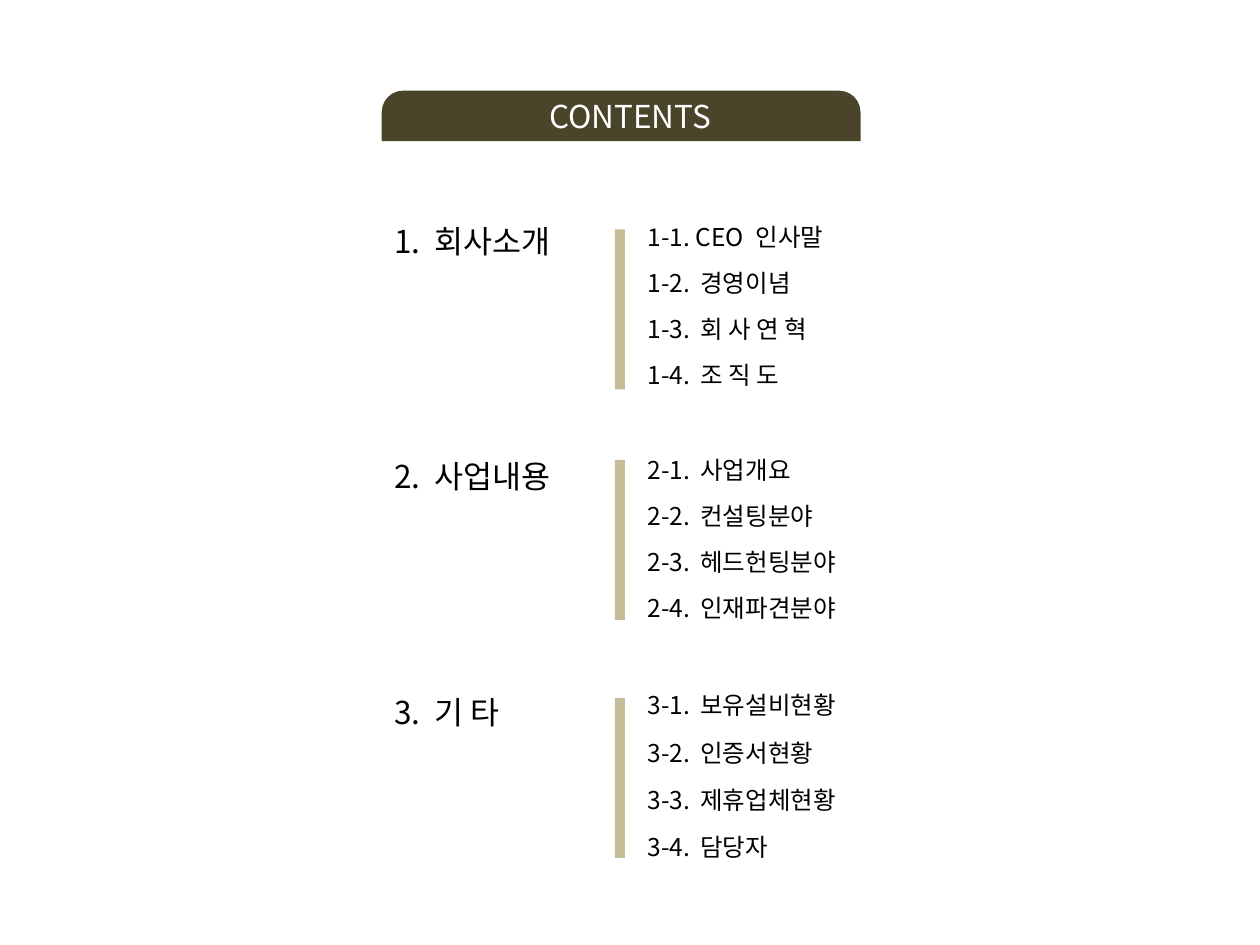
from lxml import etree
from pptx import Presentation
from pptx.dml.color import RGBColor
from pptx.enum.shapes import MSO_SHAPE
from pptx.enum.text import MSO_ANCHOR, MSO_AUTO_SIZE, PP_ALIGN
from pptx.oxml.ns import qn
from pptx.util import Inches, Pt

RECT = MSO_SHAPE.RECTANGLE
ROUND_TOP = MSO_SHAPE.ROUND_2_SAME_RECTANGLE
TOP, LEFT, NO_FIT = MSO_ANCHOR.TOP, PP_ALIGN.LEFT, MSO_AUTO_SIZE.NONE

FONT = "Noto Sans CJK KR"
BLACK = RGBColor(0x00, 0x00, 0x00)
WHITE = RGBColor(0xFF, 0xFF, 0xFF)
OLIVE = RGBColor(0x4A, 0x45, 0x2A)
SAND = RGBColor(0xC4, 0xBD, 0x97)

TITLE = "CONTENTS"
# heading, top of items, item pitch, top of bar, items
SECTIONS = [
    ("1.\t회사소개", 1.71, 0.365, 1.82,
     ["1-1. CEO\t인사말", "1-2.\t경영이념", "1-3.\t회 사 연 혁", "1-4.\t조 직 도"]),
    ("2.\t사업내용", 3.56, 0.365, 3.65,
     ["2-1.\t사업개요", "2-2.\t컨설팅분야", "2-3.\t헤드헌팅분야", "2-4.\t인재파견분야"]),
    ("3.\t기 타", 5.43, 0.375, 5.54,
     ["3-1.\t보유설비현황", "3-2.\t인증서현황", "3-3.\t제휴업체현황", "3-4.\t담당자"]),
]
HEAD_X, HEAD_Y, HEAD_STEP = 3.03, 1.71, 1.87
BAR_X, ITEM_X = 4.88, 5.04
HEAD_TAB, ITEM_TAB, CEO_TAB = 0.32, 0.42, 0.86


def add_block(slide, kind, x, y, w, h, color):
    block = slide.shapes.add_shape(kind, Inches(x), Inches(y), Inches(w), Inches(h))
    block.shadow.inherit = False
    block.fill.solid()
    block.fill.fore_color.rgb = color
    block.line.fill.background()
    return block


def set_text(shape, text, size, color, tab=None):
    frame = shape.text_frame
    frame.text = text
    frame.word_wrap = tab is not None
    frame.auto_size = NO_FIT
    frame.vertical_anchor = TOP
    para = frame.paragraphs[0]
    para.alignment = LEFT
    if tab:
        tabs = etree.SubElement(para._p.get_or_add_pPr(), qn("a:tabLst"))
        etree.SubElement(tabs, qn("a:tab"), pos=str(Inches(tab)), algn="l")
    for run in para.runs:
        run.font.name = FONT
        run.font.size = Pt(size)
        run.font.color.rgb = color
        etree.SubElement(run._r.get_or_add_rPr(), qn("a:ea"), typeface=FONT)


def add_label(slide, text, x, y, w, h, size, tab):
    box = slide.shapes.add_textbox(Inches(x), Inches(y), Inches(w), Inches(h))
    set_text(box, text, size, BLACK, tab)


def main():
    deck = Presentation()
    deck.slide_width, deck.slide_height = Inches(10), Inches(7.5)
    slide = deck.slides.add_slide(deck.slide_layouts[5])

    banner = add_block(slide, ROUND_TOP, 3.03, 0.72, 3.8, 0.4, OLIVE)
    banner.adjustments[0] = 0.425
    title = slide.shapes.title
    title.left, title.top = Inches(4.26), Inches(0.72)
    title.width, title.height = Inches(1.55), Inches(0.4)
    set_text(title, TITLE, 18, WHITE)
    banner._element.addnext(title._element)  # bring the title in front

    for i, (head, top, pitch, bar_y, items) in enumerate(SECTIONS):
        add_block(slide, RECT, BAR_X, bar_y, 0.08, 1.27, SAND)
        add_label(slide, head, HEAD_X, HEAD_Y + i * HEAD_STEP, 1.5, 0.4, 18, HEAD_TAB)
        for j, item in enumerate(items):
            tab = CEO_TAB if "CEO" in item else ITEM_TAB
            add_label(slide, item, ITEM_X, top + j * pitch, 1.79, 0.34, 14, tab)

    deck.save("out.pptx")


if __name__ == "__main__":
    main()
